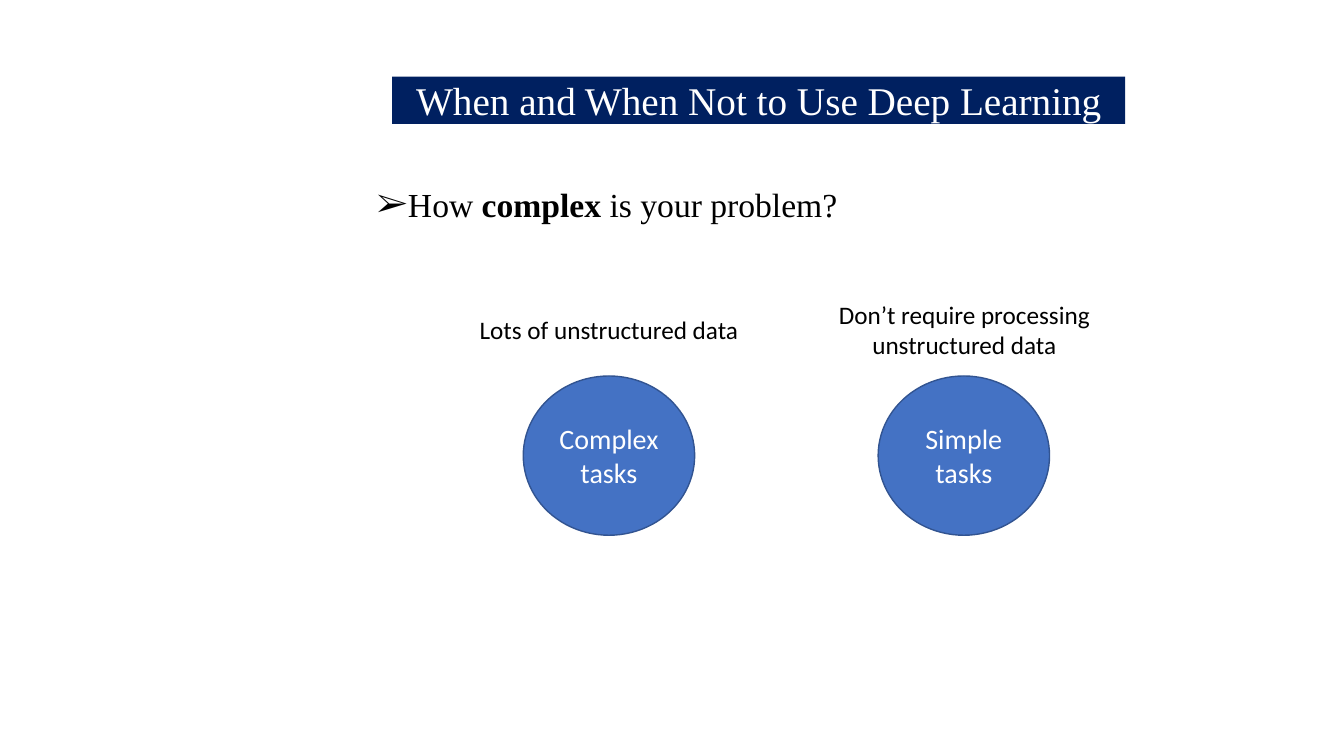
import pptx
import pptx.util
import pptx.dml.color
import pptx.enum.shapes
import pptx.enum.text
import pptx.oxml.ns
import lxml.etree

SHAPE = pptx.enum.shapes.MSO_SHAPE
ALIGN = pptx.enum.text.PP_ALIGN
ANCHOR = pptx.enum.text.MSO_ANCHOR
PX = 9144


def px(n):
    return pptx.util.Emu(n * PX)


def rgb(value):
    return pptx.dml.color.RGBColor.from_string(value)


def add_text(p, text, font="Calibri", size=18, color="000000", bold=False):
    r = p.add_run()
    r.text = text
    r.font.name = font
    r.font.size = pptx.util.Pt(size)
    r.font.bold = bold
    r.font.color.rgb = rgb(color)


class Slide:
    serif = "Times New Roman"
    navy = "002060"
    blue = "4472C4"
    outline = "325491"
    white = "FFFFFF"

    def __init__(self, prs):
        self.s = prs.slides.add_slide(prs.slide_layouts[6])

    def shape(self, kind, box, fill, line=None):
        sp = self.s.shapes.add_shape(kind, *map(px, box))
        sp.shadow.inherit = False
        sp.fill.solid()
        sp.fill.fore_color.rgb = rgb(fill)
        if line:
            sp.line.color.rgb = rgb(line)
            sp.line.width = pptx.util.Pt(1)
        else:
            sp.line.fill.background()
        return sp.text_frame

    def textbox(self, box):
        tf = self.s.shapes.add_textbox(*map(px, box)).text_frame
        tf.word_wrap = True
        return tf

    def title(self, text, box):
        tf = self.shape(SHAPE.RECTANGLE, box, self.navy)
        tf.margin_left = tf.margin_right = px(4)
        tf.margin_top = tf.margin_bottom = 0
        tf.vertical_anchor = ANCHOR.TOP
        p = tf.paragraphs[0]
        p.alignment = ALIGN.CENTER
        add_text(p, text, font=self.serif, size=28, color=self.white)

    def bullet(self, parts, box):
        p = self.textbox(box).paragraphs[0]
        p.line_spacing = 0.9
        pPr = p._p.get_or_add_pPr()
        pPr.set("marL", str(px(25)))
        pPr.set("indent", str(-px(25)))
        qn = pptx.oxml.ns.qn
        lxml.etree.SubElement(pPr, qn("a:buFont"), typeface="Wingdings 2")
        lxml.etree.SubElement(pPr, qn("a:buChar"), char="➢")
        pPr.find(qn("a:buFont")).set("typeface", self.serif)
        for text, bold in parts:
            add_text(p, text, font=self.serif, size=24, bold=bold)

    def circle(self, lines, box):
        tf = self.shape(SHAPE.OVAL, box, self.blue, self.outline)
        tf.vertical_anchor = ANCHOR.MIDDLE
        for i, line in enumerate(lines):
            p = tf.add_paragraph() if i else tf.paragraphs[0]
            p.alignment = ALIGN.CENTER
            add_text(p, line, size=20, color=self.white)

    def caption(self, text, box):
        p = self.textbox(box).paragraphs[0]
        p.alignment = ALIGN.CENTER
        add_text(p, text)


def main():
    prs = pptx.Presentation()
    prs.slide_width, prs.slide_height = px(1333), px(750)
    s = Slide(prs)
    s.title("When and When Not to Use Deep Learning", (389, 76, 727, 47))
    s.bullet(
        [("How ", False), ("complex", True), (" is your problem?", False)],
        (364, 182, 968, 276),
    )
    tasks = [
        (519, ["Complex tasks"], "Lots of unstructured data", (459, 307, 290, 40)),
        (871, ["Simple", "tasks"], "Don’t require processing unstructured data",
         (818, 292, 277, 71)),
    ]
    for left, lines, text, box in tasks:
        s.circle(lines, (left, 373, 170, 158))
        s.caption(text, box)
    prs.save("out.pptx")


if __name__ == "__main__":
    main()
